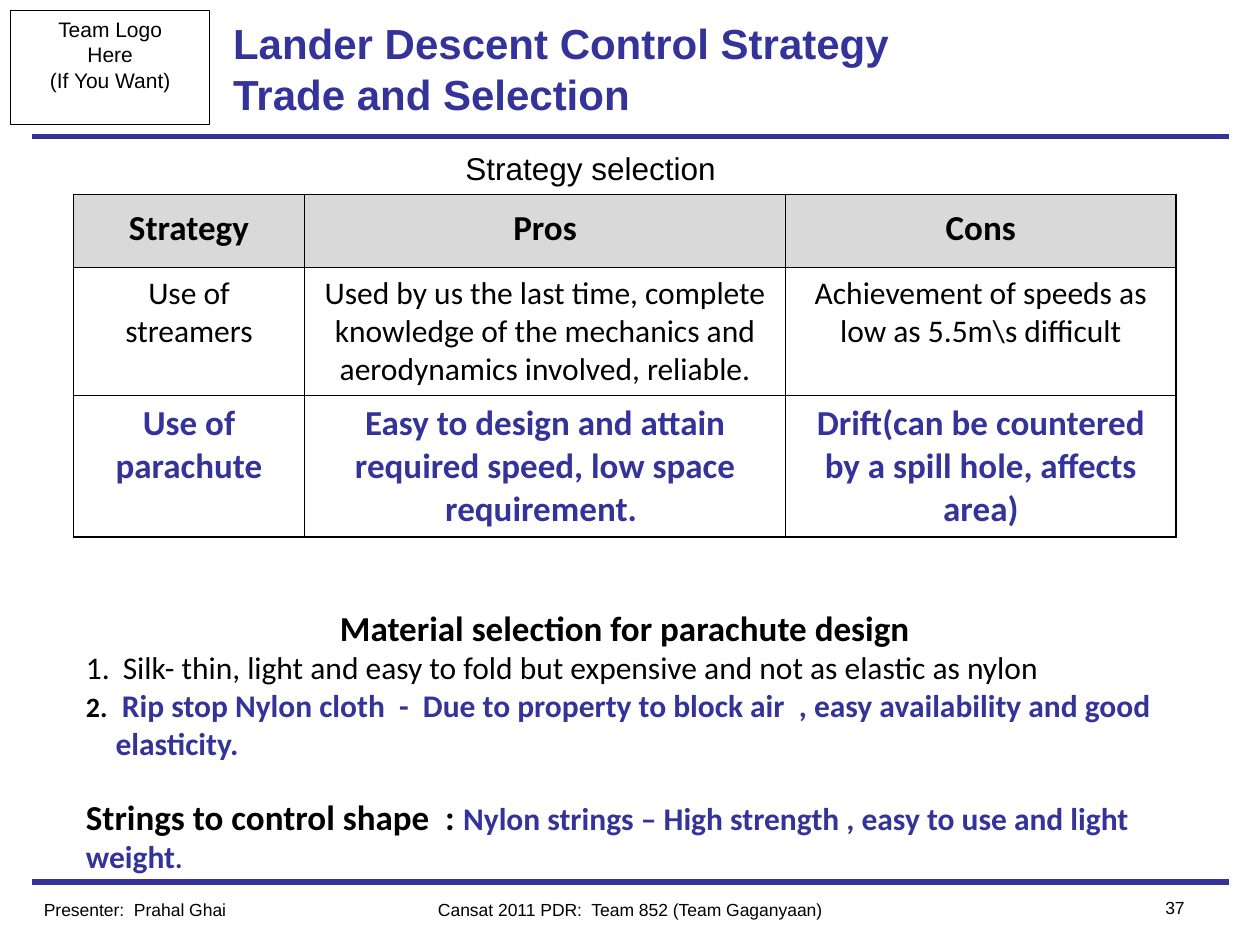
"""Build the lander descent control strategy slide."""
from lxml import etree
from pptx import Presentation
from pptx import util as u
from pptx.dml.color import RGBColor
from pptx.enum import shapes, text
from pptx.oxml.ns import qn

BLUE, BLACK, GREY = "333399", "000000", "D9D9D9"
LEFT, MID, RIGHT = text.PP_ALIGN.LEFT, text.PP_ALIGN.CENTER, text.PP_ALIGN.RIGHT
TOP, CENTRE = text.MSO_ANCHOR.TOP, text.MSO_ANCHOR.MIDDLE

TITLE = "Lander Descent Control Strategy\vTrade and Selection"
LOGO = ["Team Logo", "Here", "(If You Want)"]
RULES = [78, 504]
LABELS = [
    ("Strategy selection", (258, 60, 159, 51), MID, 18, 2),
    ("Presenter:  Prahal Ghai", (18, 510, 180, 19.5), LEFT, 10, 1),
    ("Cansat 2011 PDR:  Team 852 (Team Gaganyaan)", (216, 510, 288, 19.5), MID, 10, 1),
    ("37", (630, 509, 54, 19.5), RIGHT, 10, 1),
]
COLS = [132, 275, 223]
ROWS = [
    (42, ["Strategy", "Pros", "Cons"]),
    (72, ["Use of streamers",
          "Used by us the last time, complete knowledge of the mechanics and "
          "aerodynamics involved, reliable.",
          "Achievement of speeds as low as 5.5m\\s difficult"]),
    (79, ["Use of parachute",
          "Easy to design and attain required speed, low space requirement. ",
          "Drift(can be countered by a spill hole, affects area)"]),
]
STYLES = [
    {"size": 20, "bold": True, "color": BLACK},
    {"size": 18, "bold": False, "color": BLACK},
    {"size": 20, "bold": True, "color": BLUE},
]
NOTES = [
    (MID, False, 0, [("Material selection for parachute design", 20, True, BLACK)]),
    (LEFT, True, 0, [(" Silk- thin, light and easy to fold but expensive and not as "
                      "elastic as nylon", 18, False, BLACK)]),
    (LEFT, True, 0, [(" ", 16, True, BLUE),
                     ("Rip stop Nylon cloth  -  Due to property to block air  , easy "
                      "availability and good elasticity.", 18, True, BLUE)]),
    (LEFT, False, 19, [("Strings to control shape  : ", 20, True, BLACK),
                       ("Nylon strings – High strength , easy to use and light weight",
                        18, True, BLUE),
                       (".", 16, True, BLUE)]),
]


def rgb(code):
    """Turn a hex string into a colour."""
    return RGBColor.from_string(code)


def style(font, size, color=BLACK, bold=False, name="Arial"):
    """Apply the format values to a font."""
    for key, val in {"size": u.Pt(size), "bold": bold, "name": name}.items():
        setattr(font, key, val)
    font.color.rgb = rgb(color)


def place(shape, box):
    """Set the four lengths of a shape in points."""
    for key, val in zip(("left", "top", "width", "height"), box):
        setattr(shape, key, u.Pt(val))


def write(frame, lines, align, size, space=1, **look):
    """Fill a frame with one paragraph per line."""
    frame.text = "\n".join(lines)
    for para in frame.paragraphs:
        para.alignment, para.line_spacing = align, space
        for run in para.runs:
            style(run.font, size, **look)


def rule(slide, top):
    """Draw a full-width blue rule."""
    line = slide.shapes.add_connector(
        shapes.MSO_CONNECTOR.STRAIGHT, u.Pt(18), u.Pt(top), u.Pt(702), u.Pt(top))
    line.line.color.rgb, line.line.width = rgb(BLUE), u.Pt(3)
    etree.SubElement(line._element.spPr, qn("a:effectLst"))


def edge(cell):
    """Give a cell thin black borders."""
    props = cell._tc.get_or_add_tcPr()
    for side in ("lnL", "lnR", "lnT", "lnB"):
        line = etree.SubElement(props, qn(f"a:{side}"), w=str(u.Pt(1)))
        fill = etree.SubElement(line, qn("a:solidFill"))
        etree.SubElement(fill, qn("a:srgbClr"), val=BLACK)


def grid(slide):
    """Add the strategy table."""
    table = slide.shapes.add_table(
        len(ROWS), len(COLS), u.Pt(42), u.Pt(111), u.Pt(sum(COLS)),
        u.Pt(sum(high for high, _ in ROWS))).table
    table.first_row = table.horz_banding = False
    for col, wide in zip(table.columns, COLS):
        col.width = u.Pt(wide)
    for r, ((high, words), look) in enumerate(zip(ROWS, STYLES)):
        table.rows[r].height = u.Pt(high)
        for c, word in enumerate(words):
            cell = table.cell(r, c)
            edge(cell)
            if r == 0:
                cell.fill.solid()
                cell.fill.fore_color.rgb = rgb(GREY)
                cell.margin_top = u.Pt(2)
            else:
                cell.fill.background()
            cell.vertical_anchor = TOP if r else CENTRE
            write(cell.text_frame, [word], MID, space=1 if r else 0.82,
                  name="Calibri", **look)


def number(para):
    """Make a paragraph an item of a numbered list."""
    props = para._p.get_or_add_pPr()
    props.set("marL", str(u.Pt(17)))
    props.set("indent", str(-u.Pt(17)))
    tint = etree.SubElement(props, qn("a:buClr"))
    etree.SubElement(tint, qn("a:srgbClr"), val=BLACK)
    etree.SubElement(props, qn("a:buAutoNum"), type="arabicPeriod")


def notes(slide):
    """Add the material notes below the table."""
    frame = slide.shapes.add_textbox(u.Pt(42), u.Pt(343), u.Pt(630), u.Pt(164)).text_frame
    frame.word_wrap = True
    for i, (align, listed, gap, runs) in enumerate(NOTES):
        para = frame.add_paragraph() if i else frame.paragraphs[0]
        para.alignment = align
        if gap:
            para.space_before = u.Pt(gap)
        if listed:
            number(para)
        for word, size, bold, color in runs:
            run = para.add_run()
            run.text = word
            style(run.font, size, color, bold, "Calibri")


def main():
    """Build and save the slide."""
    deck = Presentation()
    deck.slide_width, deck.slide_height = u.Pt(720), u.Pt(540)
    slide = deck.slides.add_slide(deck.slide_layouts[5])
    for top in RULES:
        rule(slide, top)

    logo = slide.shapes.add_shape(shapes.MSO_SHAPE.RECTANGLE, 0, 0, 0, 0)
    place(logo, (6, 6, 114, 65))
    logo.shadow.inherit = False
    logo.fill.background()
    logo.line.color.rgb, logo.line.width = rgb(BLACK), u.Pt(0.5)
    logo.text_frame.vertical_anchor = TOP
    write(logo.text_frame, LOGO, MID, 12)

    title = slide.shapes.title
    place(title, (126, 6, 468, 66))
    title.text_frame.vertical_anchor = CENTRE
    write(title.text_frame, [TITLE], LEFT, 24, color=BLUE, bold=True)

    grid(slide)
    notes(slide)
    for word, box, align, size, space in LABELS:
        label = slide.shapes.add_textbox(*map(u.Pt, box))
        label.text_frame.word_wrap = True
        write(label.text_frame, [word], align, size, space)
    deck.save("out.pptx")


if __name__ == "__main__":
    main()
